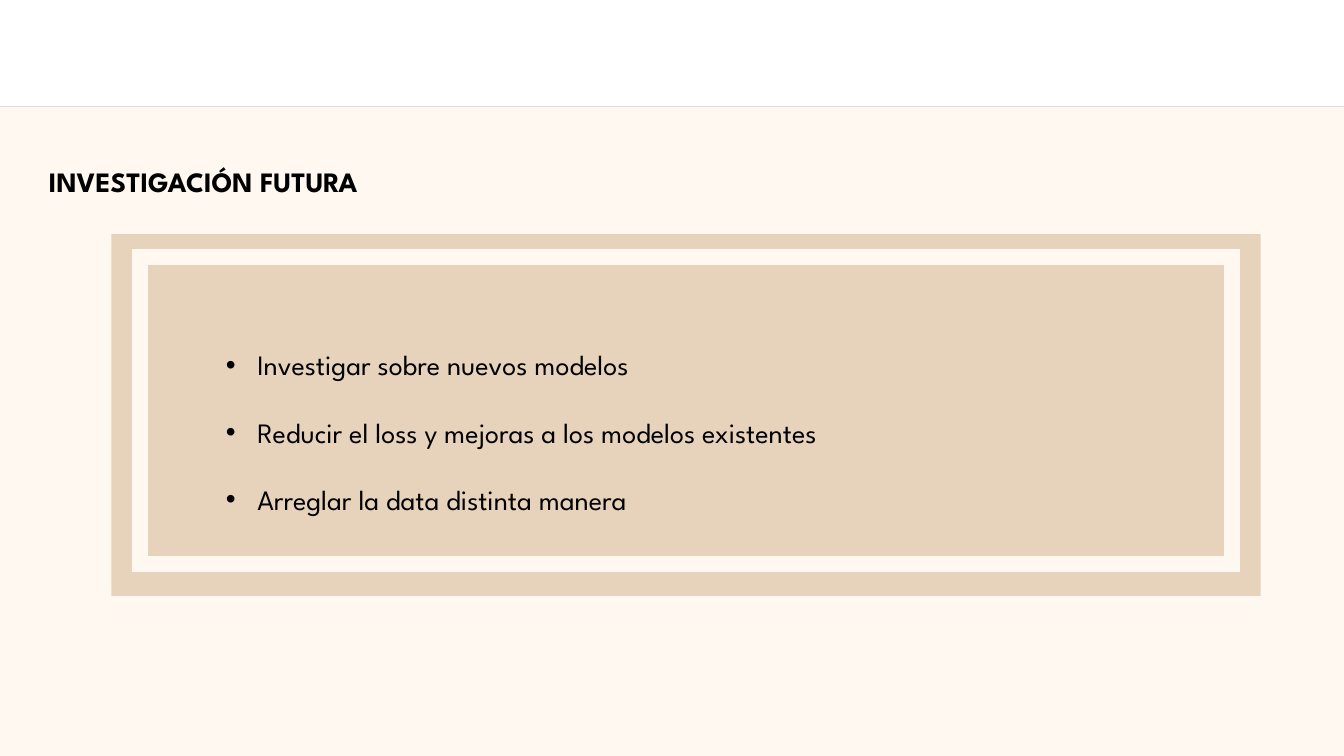
from lxml.etree import SubElement
from pptx import Presentation
from pptx.dml.color import RGBColor
from pptx.enum.shapes import MSO_CONNECTOR, MSO_SHAPE
from pptx.enum.text import MSO_ANCHOR, MSO_AUTO_SIZE, PP_ALIGN
from pptx.oxml.ns import qn
from pptx.util import Cm, Pt

BLACK = RGBColor(0, 0, 0)
CREAM = RGBColor(0xFF, 0xF8, 0xF0)
SAND = RGBColor(0xE7, 0xD3, 0xBC)
GREY = RGBColor(0xD0, 0xCE, 0xCE)
FONT = "League Spartan"
WIDE, HIGH = 33.87, 19.05
ITEMS = [
    ("Investigar sobre nuevos modelos", PP_ALIGN.LEFT),
    ("Reducir el loss y mejoras a los modelos existentes", PP_ALIGN.LEFT),
    ("Arreglar la data distinta manera", PP_ALIGN.JUSTIFY),
]


def put(shape, box):
    shape.left, shape.top, shape.width, shape.height = map(Cm, box)


def block(slide, box, fill=None, line=None, width=0):
    rect = slide.shapes.add_shape(MSO_SHAPE.RECTANGLE, *map(Cm, box))
    rect.shadow.inherit = False
    if fill is None:
        rect.fill.background()
    else:
        rect.fill.solid()
        rect.fill.fore_color.rgb = fill
    if line is None:
        rect.line.fill.background()
    else:
        rect.line.color.rgb = line
        rect.line.width = Pt(width)
        edge = rect._element.spPr.find(qn("a:ln"))
        SubElement(edge, qn("a:miter")).set("lim", "800000")


def write(para, text, align, bold=False):
    para.alignment = align
    para.space_before = Pt(0)
    run = para.add_run()
    run.text = text
    font = run.font
    font.name, font.size, font.bold = FONT, Pt(20), bold
    font.color.rgb = BLACK


def bullet(para):
    props = para._p.get_or_add_pPr()
    props.set("marL", str(Cm(2.06)))
    props.set("indent", str(Cm(-0.79)))
    SubElement(props, qn("a:buFont")).set("typeface", "Arial")
    SubElement(props, qn("a:buChar")).set("char", "•")


def setup(shape, box):
    put(shape, box)
    frame = shape.text_frame
    frame.word_wrap = True
    frame.auto_size = MSO_AUTO_SIZE.NONE
    frame.vertical_anchor = MSO_ANCHOR.TOP
    return frame


def ground(slide, box):
    left, top, width, _ = box
    rule = slide.shapes.add_connector(
        MSO_CONNECTOR.STRAIGHT, Cm(left), Cm(top), Cm(left + width), Cm(top))
    rule.line.color.rgb = GREY
    rule.line.width = Pt(1)
    SubElement(rule._element.spPr, qn("a:effectLst"))
    block(slide, box, CREAM)


def heading(slide, box):
    title = slide.shapes.title
    frame = setup(title, box)
    write(frame.paragraphs[0], "INVESTIGACIÓN FUTURA", PP_ALIGN.LEFT, True)
    slide.shapes._spTree.append(title._element)


def panel(slide, box):
    left, top, width, height = box
    block(slide, box, SAND)
    block(slide, (left + 0.71, top + 0.57, width - 1.43, height - 1.37),
          line=CREAM, width=11.25)
    body = slide.placeholders[1]
    frame = setup(body, (left + 1.36, top + 1.89, 24.18, 5.59))
    for spot, (text, align) in enumerate(ITEMS):
        para = frame.add_paragraph() if spot else frame.paragraphs[0]
        para.level = 1
        para.line_spacing = 2.0
        write(para, text, align)
        bullet(para)
    slide.shapes._spTree.append(body._element)


def main():
    deck = Presentation()
    deck.slide_width, deck.slide_height = Cm(WIDE), Cm(HIGH)
    slide = deck.slides.add_slide(deck.slide_layouts[1])
    ground(slide, (0, 2.69, WIDE, HIGH - 2.69))
    heading(slide, (0.98, 4.01, 8.66, 1.12))
    panel(slide, (2.81, 5.9, 28.96, 9.12))
    deck.save("out.pptx")


if __name__ == "__main__":
    main()
